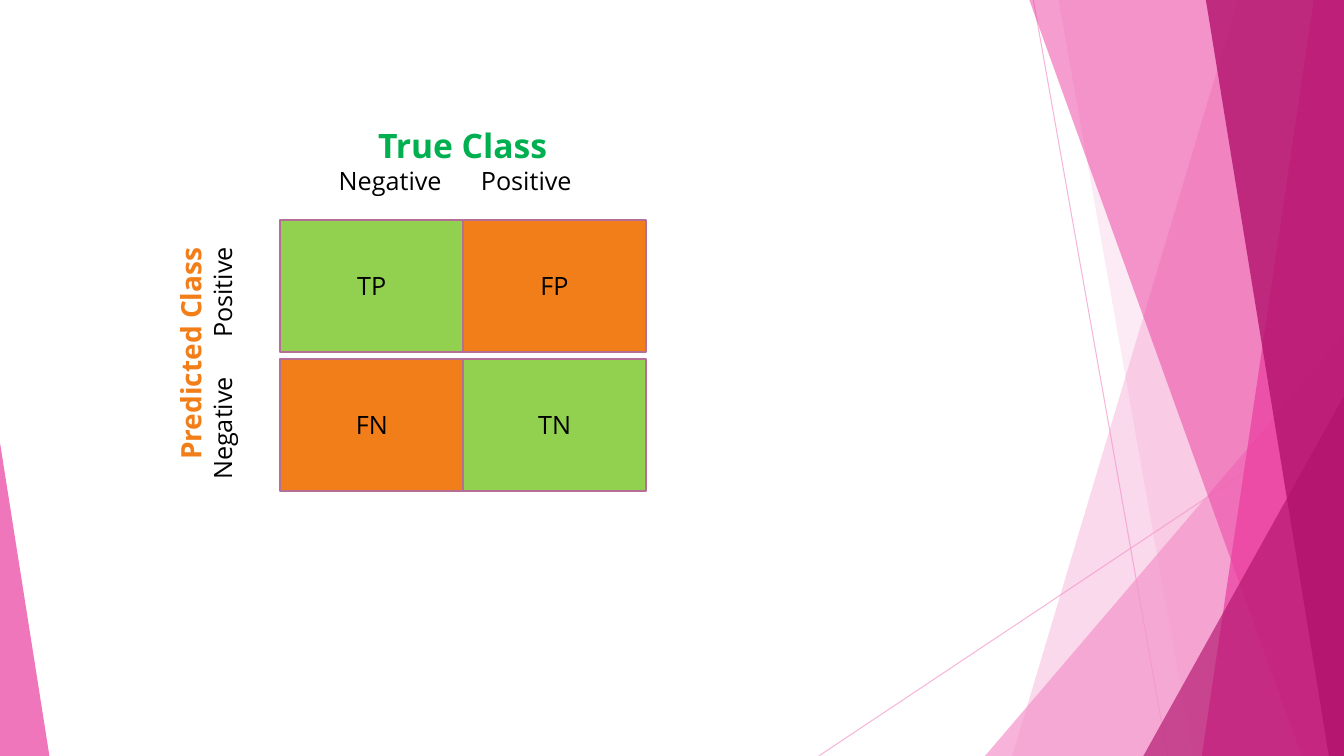
import dataclasses
import typing

import lxml.etree
import pptx
import pptx.dml.color
import pptx.enum.shapes
import pptx.enum.text
import pptx.oxml.ns
import pptx.util

COLORS = {
    "pale": "F496CB", "pink": "EB3D9F", "plum": "B2136D",
    "correct": "92D050", "wrong": "F27E19", "border": "B56F96",
    "true_class": "00B050", "text": "000000",
}
FONT = "Open Sans"
SHAPES = pptx.enum.shapes.MSO_SHAPE
CELL_LEFT, CELL_TOP = 20.86, 29.07
CELL_WIDTH, CELL_HEIGHT, ROW_PITCH = 13.6, 17.47, 18.4


@dataclasses.dataclass
class Ray:
    x1: float
    y1: float
    x2: float
    y2: float


@dataclasses.dataclass
class Band:
    top_x: float
    bottom_x: float
    color: str
    alpha: int


@dataclasses.dataclass
class Wedge:
    left: float
    top: float
    width: float
    apex: int
    color: str
    alpha: int


@dataclasses.dataclass
class AxisLabel:
    title: str
    box: tuple[float, float, float, float]
    color: str
    size: int
    indent: float
    vertical: bool = False


RAYS = [Ray(76.89, 0, 86.87, 100), Ray(100, 53.73, 60.92, 100)]
FACETS = [
    Band(92.12, 75.32, "pale", 36),
    Band(78.77, 88.75, "pale", 20),
    Wedge(73.29, 44.4, 26.71, 1, "pale", 72),
    Band(76.59, 96.85, "pink", 50),
    Band(97.75, 89.42, "pink", 70),
    Band(89.72, 98.87, "plum", 80),
    Wedge(85.07, 52.4, 14.93, 1, "plum", 66),
    Wedge(0, 58.53, 3.68, 0, "pink", 70),
]
LABELS = [
    AxisLabel("Predicted Class", (12.53, 29.33, 6.3, 35.47), "wrong", 20, 0.2, True),
    AxisLabel("True Class", (24.46, 15.87, 40.88, 14.8), "true_class", 24, 0.39),
]
MATRIX = [["TP", "FP"], ["FN", "TN"]]
CLASS_TAB = 1.41

prs = pptx.Presentation()
prs.slide_width = pptx.util.Inches(13.33)
prs.slide_height = pptx.util.Inches(7.5)
s = prs.slides.add_slide(prs.slide_layouts[6])


def x(share: float) -> int:
    return round(prs.slide_width * share / 100)


def y(share: float) -> int:
    return round(prs.slide_height * share / 100)


def rgb(name: str) -> pptx.dml.color.RGBColor:
    return pptx.dml.color.RGBColor.from_string(COLORS[name])


def child(parent: typing.Any, tag: str, **attrs: str) -> typing.Any:
    return lxml.etree.SubElement(parent, pptx.oxml.ns.qn(tag), **attrs)


def set_alpha(element: typing.Any, percent: int) -> None:
    for color in element.xpath(".//a:srgbClr"):
        child(color, "a:alpha", val=str(percent * 1000))


def write(p: typing.Any, text: str, *, size: int = 18, color: str = "text",
          bold: bool = False, align: typing.Any = None,
          indent: float = 0, tab: float = 0) -> None:
    r = p.add_run()
    r.text = text
    r.font.name = FONT
    r.font.size = pptx.util.Pt(size)
    r.font.bold = bold
    r.font.color.rgb = rgb(color)
    if align is not None:
        p.alignment = align
    pPr = p._p.get_or_add_pPr()
    if indent:
        pPr.set("marL", str(pptx.util.Inches(indent)))
    if tab:
        stops = child(pPr, "a:tabLst")
        child(stops, "a:tab", pos=str(pptx.util.Inches(tab)), algn="l")


def draw_ray(ray: Ray) -> None:
    line = s.shapes.add_connector(
        pptx.enum.shapes.MSO_CONNECTOR.STRAIGHT,
        x(ray.x1), y(ray.y1), x(ray.x2), y(ray.y2))
    line.line.color.rgb = rgb("pale")
    line.line.width = pptx.util.Pt(0.75)
    set_alpha(line._element.spPr, 70)
    child(line._element.spPr, "a:effectLst")


def draw_facet(facet: Band | Wedge) -> None:
    if isinstance(facet, Band):
        builder = s.shapes.build_freeform(x(facet.top_x), 0)
        builder.add_line_segments(
            [(x(100), 0), (x(100), y(100)), (x(facet.bottom_x), y(100))])
        sp = builder.convert_to_shape()
    else:
        sp = s.shapes.add_shape(
            SHAPES.ISOSCELES_TRIANGLE, x(facet.left), y(facet.top),
            x(facet.width), y(100 - facet.top))
        sp.adjustments[0] = facet.apex
    sp.shadow.inherit = False
    sp.fill.solid()
    sp.fill.fore_color.rgb = rgb(facet.color)
    set_alpha(sp._element.spPr, facet.alpha)
    sp.line.fill.background()


def draw_label(label: AxisLabel) -> None:
    left, top, width, height = label.box
    tf = s.shapes.add_textbox(x(left), y(top), x(width), y(height)).text_frame
    tf.word_wrap = True
    tf.auto_size = pptx.enum.text.MSO_AUTO_SIZE.SHAPE_TO_FIT_TEXT
    if label.vertical:
        tf._txBody.bodyPr.set("vert", "vert270")
    write(tf.paragraphs[0], label.title, size=label.size, color=label.color,
          bold=True, indent=label.indent)
    write(tf.add_paragraph(), "Negative\tPositive", tab=CLASS_TAB)


def draw_cell(row: int, column: int, text: str) -> None:
    sp = s.shapes.add_shape(
        SHAPES.RECTANGLE, x(CELL_LEFT + column * CELL_WIDTH),
        y(CELL_TOP + row * ROW_PITCH), x(CELL_WIDTH), y(CELL_HEIGHT))
    sp.shadow.inherit = False
    sp.fill.solid()
    sp.fill.fore_color.rgb = rgb("correct" if row == column else "wrong")
    sp.line.color.rgb = rgb("border")
    sp.line.width = pptx.util.Pt(1.5)
    tf = sp.text_frame
    tf.vertical_anchor = pptx.enum.text.MSO_ANCHOR.MIDDLE
    write(tf.paragraphs[0], text, align=pptx.enum.text.PP_ALIGN.CENTER)


for ray in RAYS:
    draw_ray(ray)
for facet in FACETS:
    draw_facet(facet)
for label in LABELS:
    draw_label(label)
for row, outcomes in enumerate(MATRIX):
    for column, outcome in enumerate(outcomes):
        draw_cell(row, column, outcome)

prs.save("out.pptx")
